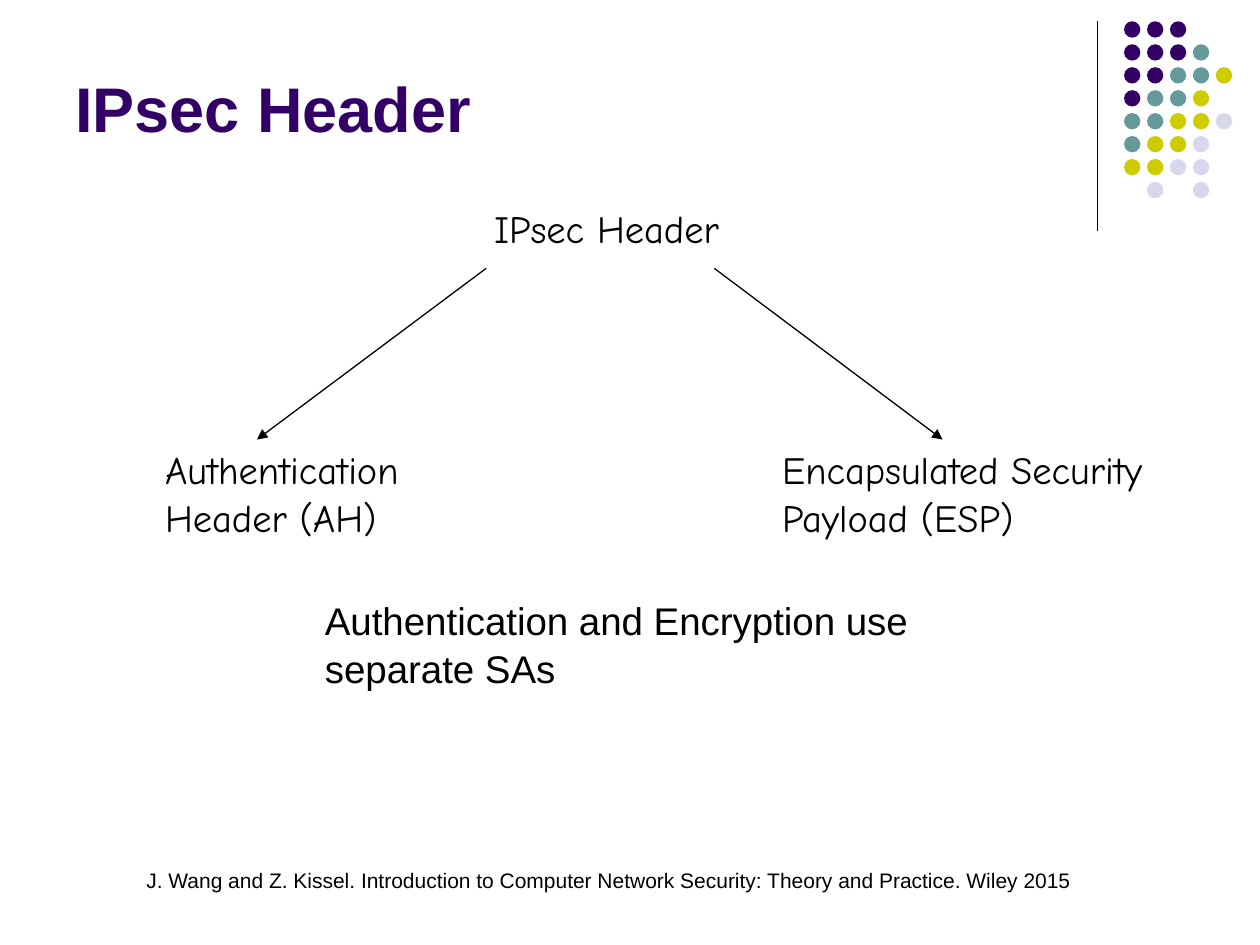
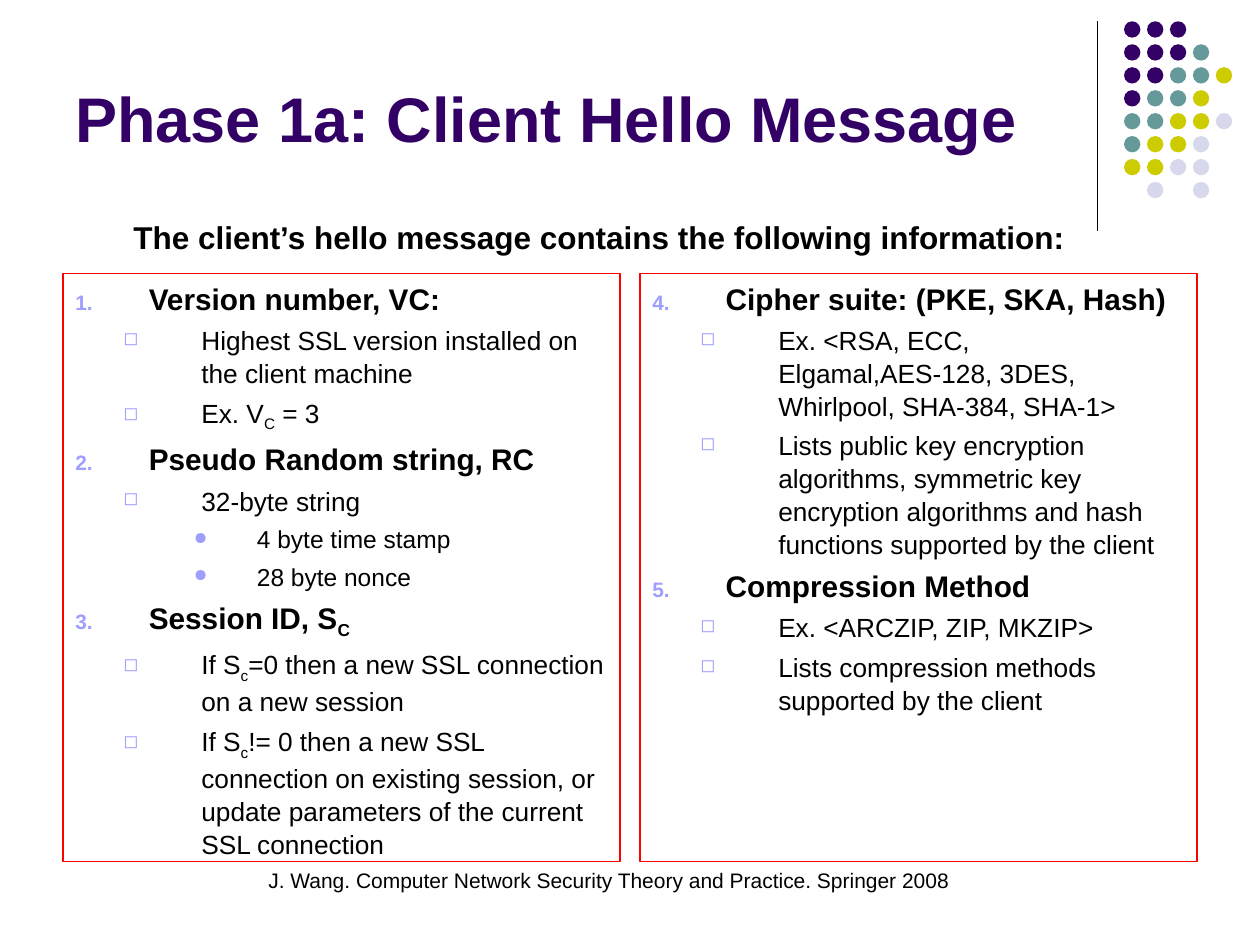
from lxml import etree
from pptx import Presentation
from pptx.dml.color import RGBColor
from pptx.enum import shapes, text
from pptx.oxml import ns
from pptx.util import Cm, Pt

COLORS = {
    "purple": "330066", "teal": "669999", "lime": "CCCC00", "lilac": "D8D8EC",
    "ink": "000000", "frame": "FF0000", "bullet": "9E9EFF",
}
DOT_ROWS = ["PPP", "PPPT", "PPTTY", "PTTY", "TTYYL", "TYYL", "YYLL", " L L"]
DOT_COLORS = {"P": "purple", "T": "teal", "Y": "lime", "L": "lilac"}
DOT_PITCH = 1.85 / 4
LINE_SPACING = 1.04

# Level: (size, bold, left margin cm, first-line indent cm, bullet character)
LEVELS = [
    (17, True, 1.48, -1.48, None),
    (15, False, 2.54, -1.57, "◻"),
    (14, False, 3.66, -1.27, "●"),
]
LEFT_ITEMS = [
    (0, "Version number, VC:"),
    (1, "Highest SSL version installed on the client machine"),
    (1, "Ex. V|C| = 3"),
    (0, "Pseudo Random string, RC"),
    (1, "32-byte string"),
    (2, "4 byte time stamp"),
    (2, "28 byte nonce"),
    (0, "Session ID, S|C"),
    (1, "If S|c|=0 then a new SSL connection on a new session"),
    (1, "If S|c|!= 0 then a new SSL connection on existing session, "
        "or update parameters of the current SSL connection"),
]
RIGHT_ITEMS = [
    (0, "Cipher suite: (PKE, SKA, Hash)"),
    (1, "Ex. <RSA, ECC, Elgamal,AES-128, 3DES, Whirlpool, SHA-384, SHA-1>"),
    (1, "Lists public key encryption algorithms, symmetric key encryption "
        "algorithms and hash functions supported by the client"),
    (0, "Compression Method"),
    (1, "Ex. <ARCZIP, ZIP, MKZIP>"),
    (1, "Lists compression methods supported by the client"),
]


def rgb(name):
    """Return the named colour."""
    return RGBColor.from_string(COLORS[name])


def add_child(parent, tag, **attributes):
    """Append a DrawingML element and return it."""
    return etree.SubElement(parent, ns.qn(tag), attributes)


def style_span(span, size, bold=False, color="ink", font="Arial"):
    """Set the font of one run."""
    span.font.name = font
    span.font.size = Pt(size)
    span.font.bold = bold
    span.font.color.rgb = rgb(color)


def add_box(page, left, top, width, height):
    """Add an empty wrapping text box, measured in centimetres."""
    box = page.shapes.add_textbox(Cm(left), Cm(top), Cm(width), Cm(height))
    box.text_frame.word_wrap = True
    return box


def add_text(page, frame, words, size, align=text.PP_ALIGN.LEFT,
             anchor=text.MSO_ANCHOR.TOP, **style):
    """Add a text box whose paragraphs share one style."""
    box = add_box(page, *frame)
    box.text_frame.vertical_anchor = anchor
    box.text_frame.text = words
    for para in box.text_frame.paragraphs:
        para.alignment = align
        para.line_spacing = LINE_SPACING
        for span in para.runs:
            style_span(span, size, **style)
    return box


def add_label(page, frame, words, font="Comic Neue"):
    """Add a diagram label with slightly narrower margins."""
    frame_text = add_text(page, frame, words, 22, font=font).text_frame
    frame_text.margin_left = frame_text.margin_right = Cm(0.23)
    frame_text.margin_top = frame_text.margin_bottom = Cm(0.1)


def add_line(page, x1, y1, x2, y2, arrow=False):
    """Add a thin black line, with an arrowhead at its end if asked."""
    line = page.shapes.add_connector(
        shapes.MSO_CONNECTOR.STRAIGHT, Cm(x1), Cm(y1), Cm(x2), Cm(y2))
    line.line.color.rgb = rgb("ink")
    line.line.width = Pt(0.75)
    if arrow:
        add_child(line.line._get_or_add_ln(), "a:tailEnd", type="triangle")
    add_child(line._element.spPr, "a:effectLst")


def add_dot(page, column, row, color):
    """Add one dot of the corner pattern."""
    dot = page.shapes.add_shape(
        shapes.MSO_SHAPE.OVAL, Cm(22.66 + column * DOT_PITCH),
        Cm(0.43 + row * DOT_PITCH), Cm(0.33), Cm(0.33))
    dot.shadow.inherit = False
    dot.fill.solid()
    dot.fill.fore_color.rgb = rgb(color)
    dot.line.fill.background()


def add_page(deck, title, title_top, title_height, citation):
    """Add a page with the corner pattern, title and citation."""
    page = deck.slides.add_slide(deck.slide_layouts[6])
    add_line(page, 22.12, 0.43, 22.12, 4.65)
    for row, letters in enumerate(DOT_ROWS):
        for column, letter in enumerate(letters):
            if letter in DOT_COLORS:
                add_dot(page, column, row, DOT_COLORS[letter])
    add_text(page, (1.27, 17.35, 22.02, 1.27), citation, 12,
             align=text.PP_ALIGN.CENTER)
    add_text(page, (1.27, title_top, 20.96, title_height), title, 36,
             anchor=text.MSO_ANCHOR.MIDDLE, bold=True, color="purple")
    return page


def add_bullet(para, level, start):
    """Give a paragraph the indent and the bullet or number of its level."""
    _, _, margin, indent, character = LEVELS[level]
    para.level = level
    props = para._p.get_or_add_pPr()
    props.set("marL", str(Cm(margin)))
    props.set("indent", str(Cm(indent)))
    color = add_child(props, "a:buClr")
    add_child(color, "a:srgbClr", val=COLORS["bullet"])
    add_child(props, "a:buSzPct", val="70000")
    if character:
        add_child(props, "a:buChar", char=character)
    else:
        add_child(props, "a:buAutoNum", type="arabicPeriod", startAt=str(start))


def add_list(page, left, items, start):
    """Add a framed outline; text between bars is subscript."""
    box = add_box(page, left, 5.51, 11.23, 11.86)
    box.line.color.rgb = rgb("frame")
    box.line.width = Pt(0.75)
    for index, (level, words) in enumerate(items):
        paras = box.text_frame.paragraphs
        para = box.text_frame.add_paragraph() if index else paras[0]
        add_bullet(para, level, start)
        para.line_spacing = LINE_SPACING
        para.space_before = Pt(3.9 if index else 0)
        size, bold = LEVELS[level][:2]
        for part, piece in enumerate(words.split("|")):
            span = para.add_run()
            span.text = piece
            style_span(span, size, bold)
            if part % 2:
                span._r.get_or_add_rPr().set("baseline", "-25000")


def add_header_page(deck):
    """Add the tree of header types."""
    page = add_page(
        deck, "IPsec Header", 0.46, 3.35,
        "J. Wang and Z. Kissel. Introduction to Computer Network Security: "
        "Theory and Practice. Wiley 2015")
    add_line(page, 9.8, 5.41, 5.18, 8.86, arrow=True)
    add_line(page, 14.4, 5.41, 19, 8.86, arrow=True)
    add_label(page, (9.73, 3.99, 5.51, 1.3), "IPsec Header")
    add_label(page, (3.1, 8.86, 5.54, 1.93), "Authentication\vHeader (AH)")
    add_label(page, (15.54, 8.86, 8.31, 1.93),
              "Encapsulated Security\vPayload (ESP)")
    add_label(page, (6.32, 11.89, 12.5, 1.93),
              "Authentication and Encryption use\nseparate SAs", font="Arial")


def add_hello_page(deck):
    """Add the two lists of what the hello message holds."""
    page = add_page(
        deck, "Phase 1a: Client Hello Message", 1.07, 2.54,
        "J. Wang. Computer Network Security Theory and Practice. Springer 2008")
    add_list(page, 1.27, LEFT_ITEMS, 1)
    add_list(page, 12.9, RIGHT_ITEMS, 4)
    add_text(page, (2.44, 4.24, 20.52, 1.07),
             "The client’s hello message contains the following information:",
             18, bold=True)


def main():
    """Build and save the deck."""
    deck = Presentation()
    deck.slide_width, deck.slide_height = Cm(25.4), Cm(19.05)
    add_header_page(deck)
    add_hello_page(deck)
    deck.save("out.pptx")


if __name__ == "__main__":
    main()
